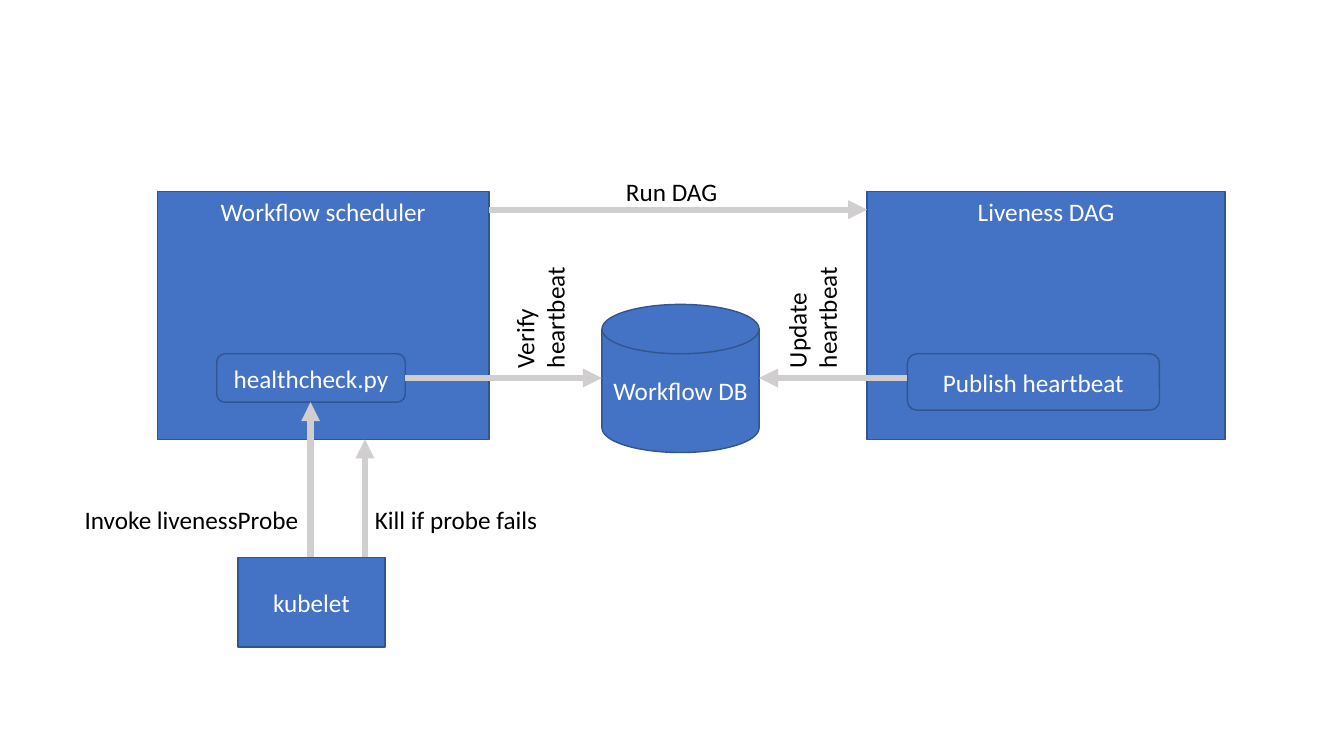
"""Build the scheduler liveness probe diagram on one slide."""
import pptx
import pptx.dml.color
import pptx.enum.shapes
import pptx.enum.text
import pptx.oxml.ns
import pptx.util
from lxml import etree

Inches = pptx.util.Inches
RGBColor = pptx.dml.color.RGBColor
Shape = pptx.enum.shapes.MSO_SHAPE
Anchor = pptx.enum.text.MSO_ANCHOR
Align = pptx.enum.text.PP_ALIGN
qn = pptx.oxml.ns.qn

BLUE = RGBColor(0x44, 0x72, 0xC4)
OUTLINE = RGBColor(0x32, 0x54, 0x91)
GRAY = RGBColor(0xD0, 0xCE, 0xCE)
WHITE = RGBColor(0xFF, 0xFF, 0xFF)
BLACK = RGBColor(0, 0, 0)

COMPONENTS = [
    ("Liveness DAG", Shape.RECTANGLE, (8.6, 1.9, 3.55, 2.46), Anchor.TOP),
    ("Publish heartbeat", Shape.ROUNDED_RECTANGLE, (9, 3.51, 2.5, 0.56), Anchor.MIDDLE),
    ("Workflow DB", Shape.FLOWCHART_MAGNETIC_DISK, (5.97, 3.02, 1.56, 1.47), Anchor.MIDDLE),
    ("Workflow scheduler", Shape.RECTANGLE, (1.56, 1.9, 3.29, 2.46), Anchor.TOP),
    ("kubelet", Shape.RECTANGLE, (2.36, 5.53, 1.46, 0.89), Anchor.MIDDLE),
    ("healthcheck.py", Shape.ROUNDED_RECTANGLE, (2.15, 3.51, 1.87, 0.48), Anchor.MIDDLE),
]
BOUNDS = {name: bounds for name, _, bounds, _ in COMPONENTS}

PROBE_X, KILL_X = 3.08, 3.62
RUN_Y, HEARTBEAT_Y = 2.08, 3.75

LABELS = [
    ("Kill if probe fails", (KILL_X, 4.95, 1.83, 0.4), False),
    ("Invoke livenessProbe", (0.74, 4.95, 2.34, 0.4), False),
    ("Update \nheartbeat", (7.7, 2.63, 0.81, 1.12), True),
    ("Verify\nheartbeat", (5, 2.63, 0.81, 1.12), True),
    ("Run DAG", (6.11, 1.7, 1.12, 0.4), False),
]


def left(name):
    return BOUNDS[name][0]


def right(name):
    return BOUNDS[name][0] + BOUNDS[name][2]


def top(name):
    return BOUNDS[name][1]


def bottom(name):
    return BOUNDS[name][1] + BOUNDS[name][3]


ARROWS = [
    ((PROBE_X, top("kubelet")), (PROBE_X, bottom("healthcheck.py"))),
    ((left("Publish heartbeat"), HEARTBEAT_Y), (right("Workflow DB"), HEARTBEAT_Y)),
    ((right("healthcheck.py"), HEARTBEAT_Y), (left("Workflow DB"), HEARTBEAT_Y)),
    ((KILL_X, top("kubelet")), (KILL_X, bottom("Workflow scheduler"))),
    ((right("Workflow scheduler"), RUN_Y), (left("Liveness DAG"), RUN_Y)),
]


def write(frame, text, color=BLACK, align=Align.LEFT, anchor=Anchor.TOP, wrap=True):
    frame.text = text
    frame.word_wrap = wrap
    frame.vertical_anchor = anchor
    for paragraph in frame.paragraphs:
        paragraph.alignment = align
        for run in paragraph.runs:
            run.font.name = "Calibri"
            run.font.size = pptx.util.Pt(18)
            run.font.color.rgb = color


def add_component(slide, name, kind, bounds, anchor):
    component = slide.shapes.add_shape(kind, *map(Inches, bounds))
    component.shadow.inherit = False
    component.fill.solid()
    component.fill.fore_color.rgb = BLUE
    component.line.color.rgb = OUTLINE
    component.line.width = pptx.util.Pt(1)
    write(component.text_frame, name, color=WHITE, align=Align.CENTER, anchor=anchor)


def add_arrow(slide, start, end):
    arrow = slide.shapes.add_connector(
        pptx.enum.shapes.MSO_CONNECTOR.STRAIGHT, *map(Inches, start + end))
    arrow.line.color.rgb = GRAY
    arrow.line.width = pptx.util.Pt(4.5)
    etree.SubElement(arrow.line._get_or_add_ln(), qn("a:tailEnd"), type="triangle")
    etree.SubElement(arrow._element.spPr, qn("a:effectLst"))


def add_label(slide, text, bounds, upright):
    frame = slide.shapes.add_textbox(*map(Inches, bounds)).text_frame
    write(frame, text, wrap=False)
    frame.auto_size = pptx.enum.text.MSO_AUTO_SIZE.SHAPE_TO_FIT_TEXT
    if upright:
        frame._txBody.bodyPr.set("vert", "vert270")


deck = pptx.Presentation()
deck.slide_width, deck.slide_height = Inches(13.33), Inches(7.5)
slide = deck.slides.add_slide(deck.slide_layouts[6])
for component in COMPONENTS:
    add_component(slide, *component)
for arrow in ARROWS:
    add_arrow(slide, *arrow)
for label in LABELS:
    add_label(slide, *label)
deck.save("out.pptx")
